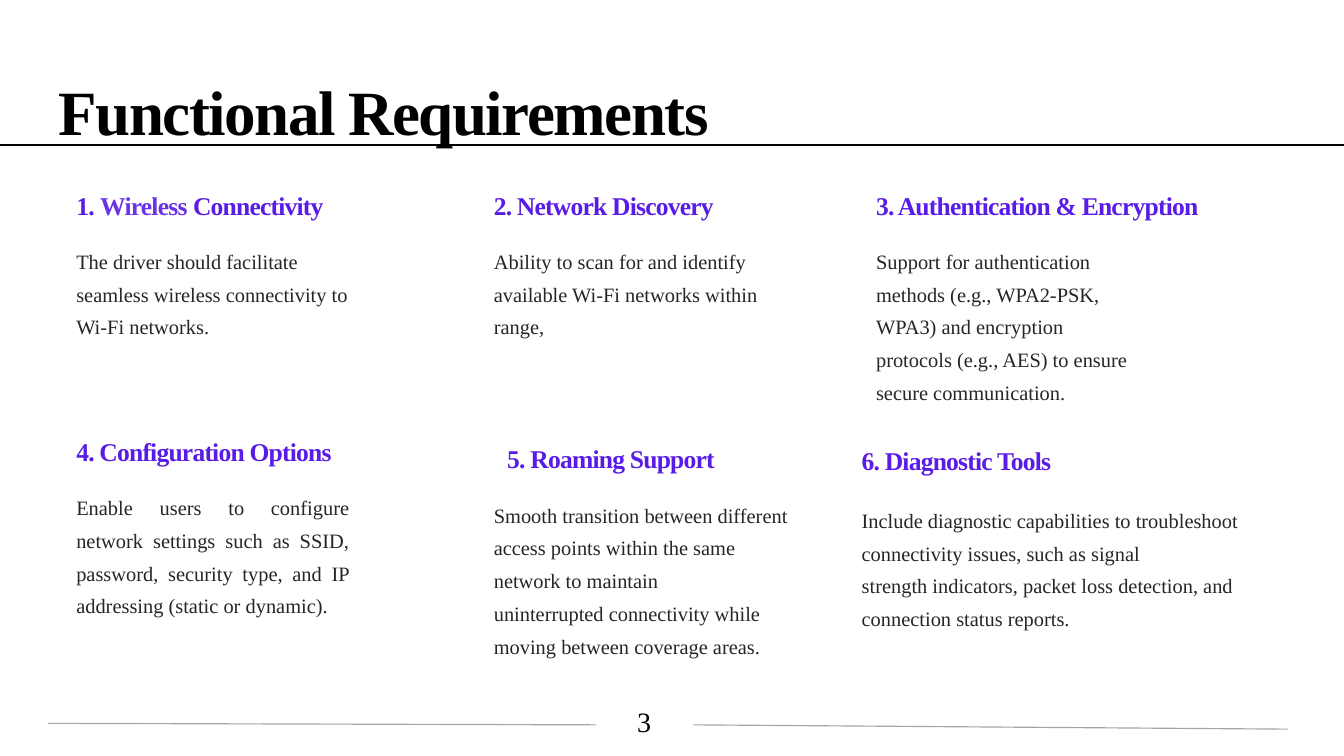
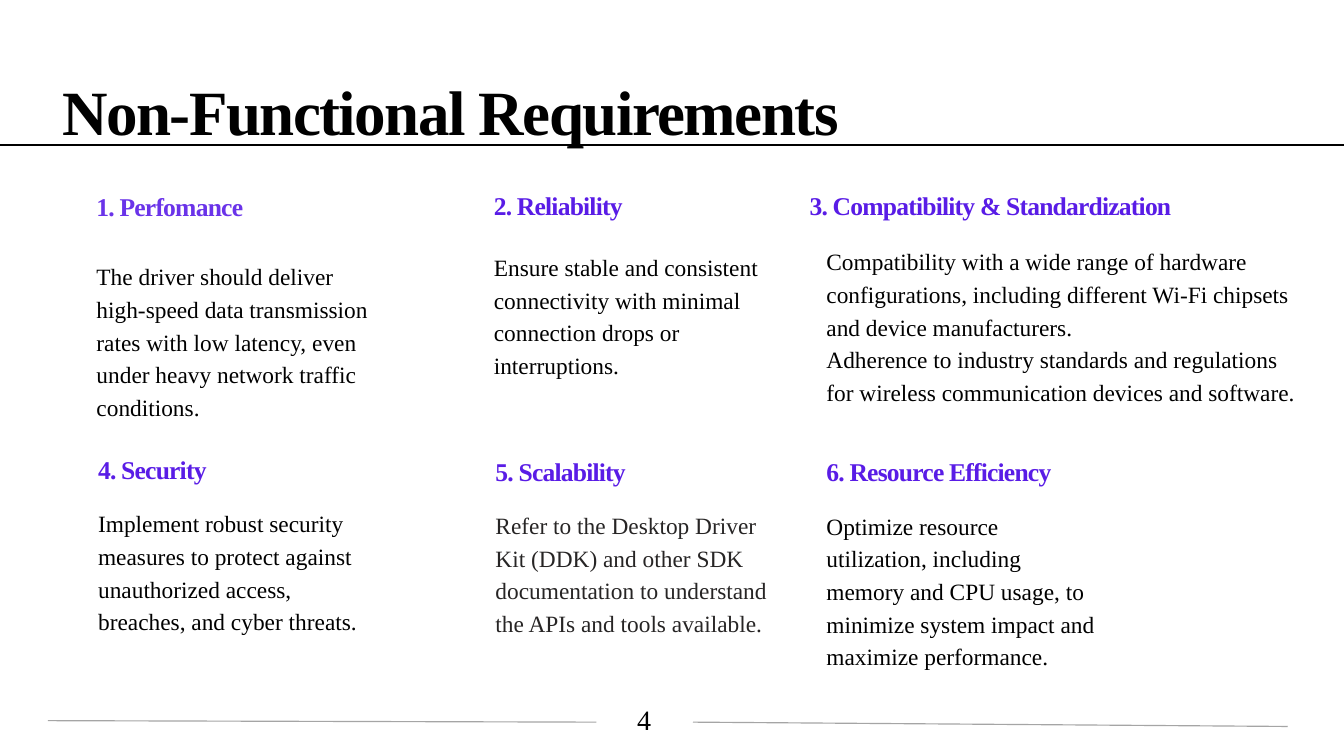
from dataclasses import dataclass

import pptx
import pptx.dml.color
import pptx.enum.shapes
import pptx.enum.text
import pptx.oxml
import pptx.util
from pptx.oxml import ns

Pt = pptx.util.Pt
Align = pptx.enum.text.PP_ALIGN

FONT = "Times New Roman"
SLIDE_WIDTH, SLIDE_HEIGHT = 1152, 648
BLACK = "000000"
CHARCOAL = "272525"
VIOLET = "591CE6"
LIGHT_VIOLET = "6A33E9"
GRAY = "A5A5A5"
TITLE_ONLY_LAYOUT = 5


@dataclass(frozen=True)
class Span:
    text: str
    color: str


@dataclass(frozen=True)
class Box:
    left: float
    top: float
    width: float
    height: float


@dataclass(frozen=True)
class Requirement:
    heading: tuple[Span, ...]
    heading_box: Box
    body: tuple[str, ...]
    body_box: Box
    body_color: str
    align: Align = Align.LEFT


@dataclass(frozen=True)
class Page:
    title: str
    title_left: float
    number: str
    footer_top: float
    body_size: float
    requirements: tuple[Requirement, ...]


def color_of(value: str) -> pptx.dml.color.RGBColor:
    return pptx.dml.color.RGBColor.from_string(value)


def violet(text: str) -> tuple[Span, ...]:
    return (Span(text, VIOLET),)


def heading_at(left: float, top: float, width: float = 236) -> Box:
    return Box(left, top, width, 27.4)


def body_at(left: float, top: float, height: float, width: float = 248.4) -> Box:
    return Box(left, top, width, height)


def place(shape, box: Box) -> None:
    shape.left, shape.top = Pt(box.left), Pt(box.top)
    shape.width, shape.height = Pt(box.width), Pt(box.height)


def write_text(
    frame,
    paragraphs: list[tuple[Span, ...]],
    *,
    size: float,
    bold: bool = False,
    tracking: float = 0,
    line_height: float | None = None,
    align: Align = Align.LEFT,
    wrap: bool = True,
) -> None:
    """Fill a text frame; tracking and line_height are in points."""
    frame.word_wrap = wrap
    frame.auto_size = pptx.enum.text.MSO_AUTO_SIZE.NONE
    frame.vertical_anchor = pptx.enum.text.MSO_ANCHOR.TOP
    for index, spans in enumerate(paragraphs):
        paragraph = frame.add_paragraph() if index else frame.paragraphs[0]
        paragraph.alignment = align
        if line_height:
            paragraph.line_spacing = Pt(line_height)
        for span in spans:
            run = paragraph.add_run()
            run.text = span.text
            run.font.name = FONT
            run.font.size = Pt(size)
            run.font.bold = bold
            run.font.color.rgb = color_of(span.color)
            if tracking:
                run._r.get_or_add_rPr().set("spc", str(round(tracking * 100)))


def add_text(shapes, box: Box, paragraphs: list[tuple[Span, ...]], **text_format) -> None:
    shape = shapes.add_textbox(0, 0, 0, 0)
    place(shape, box)
    write_text(shape.text_frame, paragraphs, **text_format)


def add_line(
    shapes, start: tuple[float, float], end: tuple[float, float], color: str, weight: float
) -> None:
    connector = shapes.add_connector(
        pptx.enum.shapes.MSO_CONNECTOR.STRAIGHT, *map(Pt, start + end)
    )
    connector.line.color.rgb = color_of(color)
    connector.line.width = Pt(weight)
    connector._element.spPr.append(pptx.oxml.parse_xml(f"<a:effectLst {ns.nsdecls('a')}/>"))


def add_requirement(slide, requirement: Requirement, body_size: float) -> None:
    shapes = slide.shapes.add_group_shape().shapes
    add_text(
        shapes, requirement.heading_box, [requirement.heading],
        size=21.9, bold=True, tracking=-0.7, line_height=27.3, wrap=False,
    )
    add_text(
        shapes, requirement.body_box,
        [(Span(text, requirement.body_color),) for text in requirement.body],
        size=body_size, line_height=28, align=requirement.align,
    )


def add_footer(slide, number: str, top: float) -> None:
    shapes = slide.shapes.add_group_shape().shapes
    add_text(
        shapes, Box(522.7, top, 59, 48.2), [(Span(number, BLACK),)],
        size=24, align=Align.CENTER,
    )
    add_line(shapes, (41, top + 19.5), (511.2, top + 20.8), GRAY, 1)
    add_line(shapes, (594, top + 20.8), (1103.8, top + 24.5), GRAY, 1)


def add_page(presentation, page: Page) -> None:
    slide = presentation.slides.add_slide(presentation.slide_layouts[TITLE_ONLY_LAYOUT])
    title = slide.shapes.title
    place(title, Box(page.title_left, 68.4, 720, 54.7))
    write_text(
        title.text_frame, [(Span(page.title, BLACK),)],
        size=54, bold=True, tracking=-1.3, line_height=54.7, wrap=False,
    )
    for requirement in page.requirements:
        add_requirement(slide, requirement, page.body_size)
    add_footer(slide, page.number, page.footer_top)
    add_line(slide.shapes, (0, 124.6), (SLIDE_WIDTH, 124.6), BLACK, 1.5)


FUNCTIONAL = Page(
    "Functional Requirements", 43.2, "3", 600.5, 17.5,
    (
        Requirement(
            (
                Span("1. ", VIOLET),
                Span("Wireless ", LIGHT_VIOLET),
                Span("Connectivity", VIOLET),
            ),
            heading_at(58.3, 158.4),
            ("The driver should facilitate seamless wireless connectivity to Wi-Fi networks.",),
            body_at(58.3, 203, 111.6), CHARCOAL,
        ),
        Requirement(
            violet("2. Network Discovery"), heading_at(416.2, 158.4),
            ("Ability to scan for and identify available Wi-Fi networks within range,",),
            body_at(416.2, 203, 111.6), CHARCOAL,
        ),
        Requirement(
            violet("3. Authentication & Encryption"), heading_at(743.8, 158.4, 292),
            (
                "Support for authentication methods (e.g., WPA2-PSK, WPA3) and encryption",
                "protocols (e.g., AES) to ensure secure communication.",
            ),
            body_at(743.8, 203, 139.7), CHARCOAL,
        ),
        Requirement(
            violet("4. Configuration Options"), heading_at(58.3, 369.4),
            (
                "Enable users to configure network settings such as SSID, password, "
                "security type, and IP addressing (static or dynamic).",
            ),
            body_at(58.3, 414, 139.7), CHARCOAL, Align.JUSTIFY,
        ),
        Requirement(
            violet("5. Roaming Support"), heading_at(427.7, 375.1),
            (
                "Smooth transition between different access points within the same "
                "network to maintain",
                "uninterrupted connectivity while moving between coverage areas.",
            ),
            body_at(416.2, 420.5, 152.6, 280.8), CHARCOAL,
        ),
        Requirement(
            violet("6. Diagnostic Tools"), heading_at(731.5, 376.6, 305.3),
            (
                "Include diagnostic capabilities to troubleshoot connectivity issues, "
                "such as signal",
                "strength indicators, packet loss detection, and connection status reports.",
            ),
            body_at(731.5, 424.8, 150.5, 347), CHARCOAL,
        ),
    ),
)

NON_FUNCTIONAL = Page(
    "Non-Functional Requirements", 46.1, "4", 598.2, 20,
    (
        Requirement(
            (Span("1. Perfomance", LIGHT_VIOLET),), heading_at(75.6, 159.1),
            (
                "The driver should deliver high-speed data transmission rates with low "
                "latency, even under heavy network traffic conditions.",
            ),
            body_at(75.6, 217.4, 145.4), BLACK,
        ),
        Requirement(
            violet("2. Reliability"), heading_at(416.2, 158.4),
            (
                "Ensure stable and consistent connectivity with minimal connection "
                "drops or interruptions.",
            ),
            body_at(416.2, 209.5, 128.9), BLACK,
        ),
        Requirement(
            violet("3. Compatibility & Standardization"), heading_at(686.9, 158.4, 343.4),
            (
                "Compatibility with a wide range of hardware configurations, including "
                "different Wi-Fi chipsets and device manufacturers.",
                "Adherence to industry standards and regulations for wireless "
                "communication devices and software.",
            ),
            body_at(701.3, 204.5, 144, 427.7), BLACK,
        ),
        Requirement(
            violet("4. Security"), heading_at(77, 384.5),
            (
                "Implement robust security measures to protect against unauthorized "
                "access, breaches, and cyber threats.",
            ),
            body_at(77, 429.1, 111.6), BLACK,
        ),
        Requirement(
            violet("5. Scalability"), heading_at(417.6, 385.9),
            (
                "Refer to the Desktop Driver Kit (DDK) and other SDK documentation to "
                "understand the APIs and tools available.",
            ),
            body_at(417.6, 430.6, 111.6), CHARCOAL,
        ),
        Requirement(
            violet("6. Resource Efficiency"), heading_at(701.3, 386.6),
            (
                "Optimize resource utilization, including memory and CPU usage, to "
                "minimize system impact and maximize performance.",
            ),
            body_at(701.3, 431.3, 139.7), BLACK,
        ),
    ),
)


def main() -> None:
    presentation = pptx.Presentation()
    presentation.slide_width = Pt(SLIDE_WIDTH)
    presentation.slide_height = Pt(SLIDE_HEIGHT)
    for page in (FUNCTIONAL, NON_FUNCTIONAL):
        add_page(presentation, page)
    presentation.save("out.pptx")


if __name__ == "__main__":
    main()
